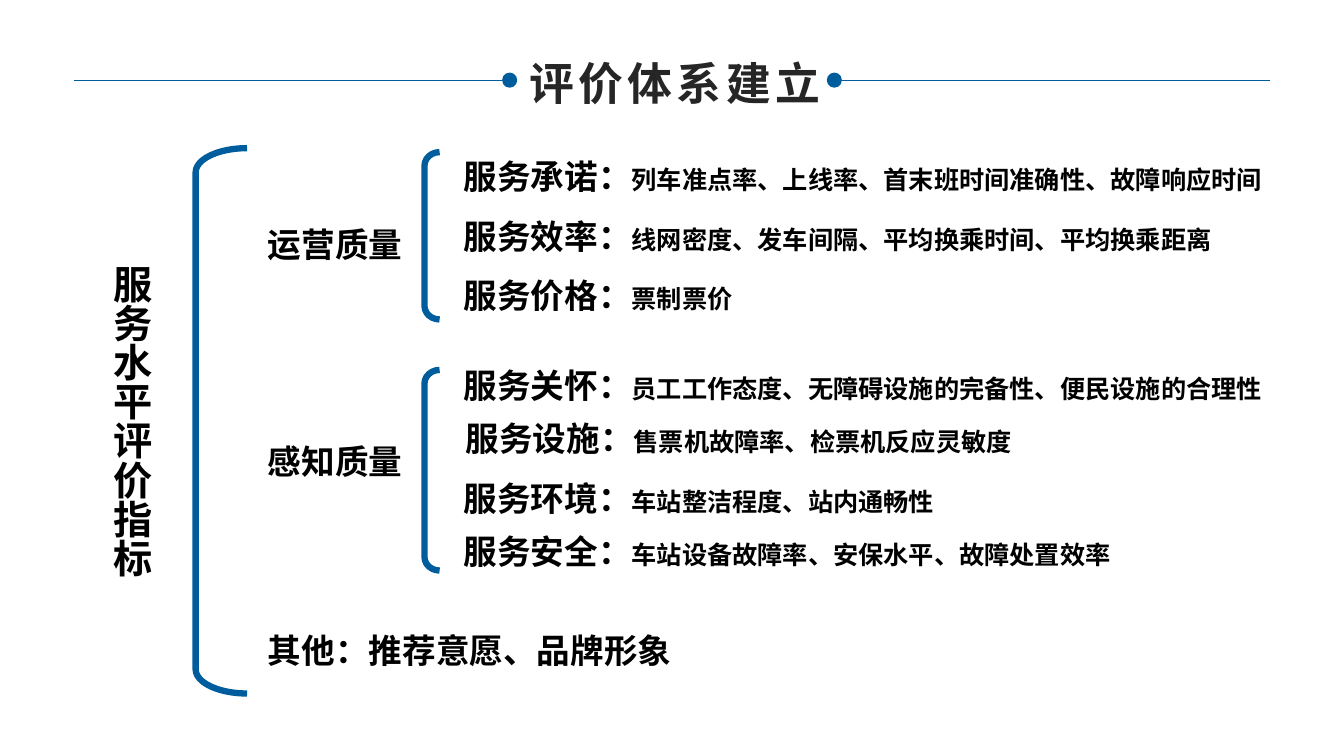
from pptx import Presentation
from pptx.dml.color import RGBColor
from pptx.enum.shapes import MSO_CONNECTOR, MSO_SHAPE
from pptx.enum.text import MSO_ANCHOR, PP_ALIGN
from pptx.oxml.ns import qn
from pptx.util import Pt
from lxml import etree

PX = 9144  # 100 px to the inch
COLORS = {"blue": "005D9D", "title": "262626", "text": "000000"}
CJK = "Noto Sans CJK SC"


def style(run, size, color="text", latin=CJK):
    run.font.size = Pt(size)
    run.font.bold = True
    run.font.name = latin
    run.font.color.rgb = RGBColor.from_string(COLORS[color])
    etree.SubElement(run._r.get_or_add_rPr(), qn("a:ea"), typeface=CJK)


def add_label(x, y, w, h, parts):
    label = slide.shapes.add_textbox(x * PX, y * PX, w * PX, h * PX)
    label.text_frame.word_wrap = True
    for words, size in parts:
        run = label.text_frame.paragraphs[0].add_run()
        run.text = words
        style(run, size)
    return label


prs = Presentation()
prs.slide_width, prs.slide_height = 1333 * PX, 750 * PX
slide = prs.slides.add_slide(prs.slide_layouts[5])
blue = RGBColor.from_string(COLORS["blue"])

# Title
title = slide.shapes.title
title.left, title.top, title.width, title.height = 512 * PX, 50 * PX, 315 * PX, 64 * PX
title.text_frame.text = "评价体系建立"
title.text_frame.word_wrap = False
title.text_frame.vertical_anchor = MSO_ANCHOR.MIDDLE
heading = title.text_frame.paragraphs[0]
heading.alignment = PP_ALIGN.CENTER
style(heading.runs[0], 32, "title", "Arial")
heading.runs[0]._r.get_or_add_rPr().set("spc", "300")

# Rules with a dot on either side of the title
for outer, inner, dot_x in [(73, 498, 498), (1260, 835, 820)]:
    rule = slide.shapes.add_connector(
        MSO_CONNECTOR.STRAIGHT, outer * PX, 80 * PX, inner * PX, 80 * PX)
    rule.line.color.rgb = blue
    rule.line.width = Pt(0.25)
    etree.SubElement(rule._element.spPr, qn("a:effectLst"))
    dot = slide.shapes.add_shape(
        MSO_SHAPE.OVAL, dot_x * PX, 72 * PX, 15 * PX, 15 * PX)
    dot.shadow.inherit = False
    dot.fill.solid()
    dot.fill.fore_color.rgb = blue
    dot.line.fill.background()

# Brackets: whole system, then one per quality group
for x, y, w, h, curve in [(194, 147, 51, 541, 0.47),
                          (421, 151, 15, 166, 0.9),
                          (421, 367, 15, 199, 0.9)]:
    bracket = slide.shapes.add_shape(
        MSO_SHAPE.LEFT_BRACKET, x * PX, y * PX, w * PX, h * PX)
    bracket.adjustments[0] = curve
    bracket.shadow.inherit = False
    bracket.fill.background()
    bracket.line.color.rgb = blue
    bracket.line.width = Pt(4.5)

# Root of the system, written vertically
root = add_label(92, 253, 67, 350, [("服务水平评价指标", 28)])
root.text_frame._txBody.bodyPr.set("vert", "eaVert")

# Quality groups
for group, y, w in [("运营质量", 217, 170),
                    ("感知质量", 433, 170),
                    ("其他：推荐意愿、品牌形象", 620, 770)]:
    add_label(256, y, w, 50, [(group, 24)])

# Indicators
for x, y, name, measures in [
    (450, 150, "服务承诺：", "列车准点率、上线率、首末班时间准确性、故障响应时间"),
    (450, 209, "服务效率：", "线网密度、发车间隔、平均换乘时间、平均换乘距离"),
    (450, 268, "服务价格：", "票制票价"),
    (450, 357, "服务关怀：", "员工工作态度、无障碍设施的完备性、便民设施的合理性"),
    (452, 410, "服务设施：", "售票机故障率、检票机反应灵敏度"),
    (450, 469, "服务环境：", "车站整洁程度、站内通畅性"),
    (450, 522, "服务安全：", "车站设备故障率、安保水平、故障处置效率"),
]:
    add_label(x, y, 868, 50, [(name, 24), (measures, 18)])

prs.save("out.pptx")
